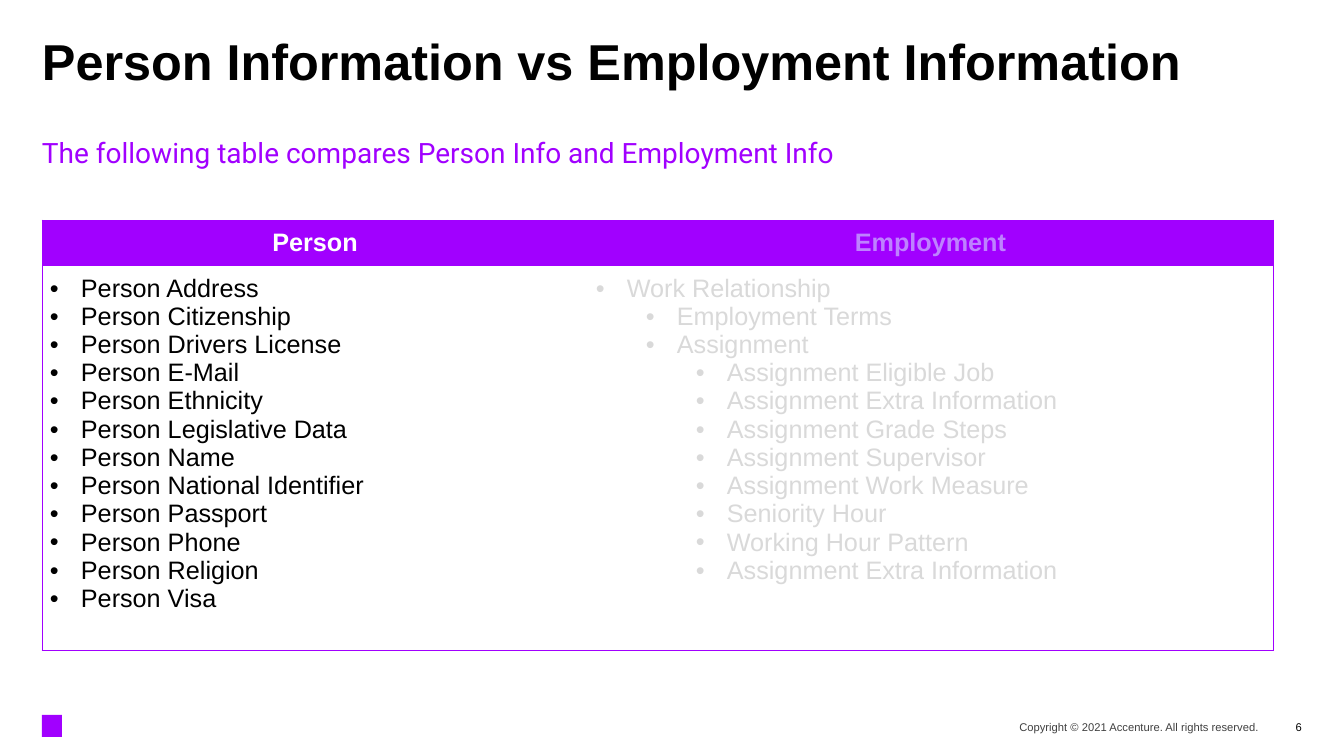
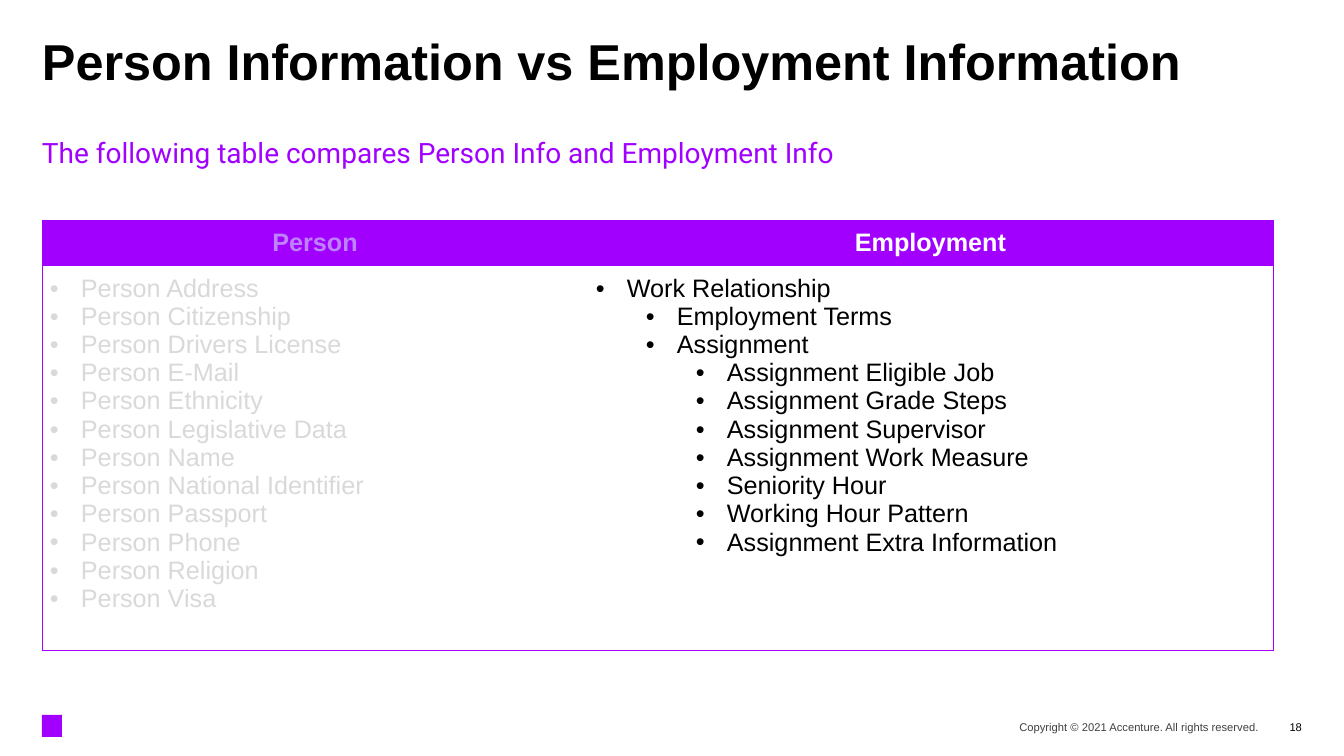
from lxml import etree
from pptx import Presentation, util as u
from pptx.dml.color import RGBColor
from pptx.enum import shapes, text
from pptx.oxml.ns import qn

SCALE = 914400 / 100.8
PURPLE, LILAC, WHITE = "A100FF", "BE82FF", "FFFFFF"
BLACK, CHARCOAL, PALE = "000000", "404040", "D9D9D9"
LEFT, CONTENT_WIDTH = 42, 1260
FOOTER_TOP, FOOTER_HEIGHT = 716, 22
CELL_INSET, BULLET_INDENT, LEVEL_STEP = 8, 31, 50
COLUMN_WIDTHS, ROW_HEIGHTS = (546, 685), (44, 384)

PERSON = [(0, f"Person {item}") for item in (
    "Address", "Citizenship", "Drivers License", "E-Mail", "Ethnicity",
    "Legislative Data", "Name", "National Identifier", "Passport", "Phone",
    "Religion", "Visa")]
EXTRA = (2, "Assignment Extra Information")
EMPLOYMENT = [
    (0, "Work Relationship"),
    (1, "Employment Terms"),
    (1, "Assignment"),
    (2, "Assignment Eligible Job"),
    (2, "Assignment Grade Steps"),
    (2, "Assignment Supervisor"),
    (2, "Assignment Work Measure"),
    (2, "Seniority Hour"),
    (2, "Working Hour Pattern"),
    EXTRA,
]
EMPLOYMENT_WITH_EXTRA = EMPLOYMENT[:4] + [EXTRA] + EMPLOYMENT[4:]


def px(length):
    return u.Emu(round(length * SCALE))


def rgb(value):
    return RGBColor.from_string(value)


class Deck:
    """Holds the shared style and the slide being built."""

    def __init__(self):
        self.prs = Presentation()
        self.prs.slide_width, self.prs.slide_height = px(1344), px(756)
        self.slide = None

    def add_slide(self, number):
        self.slide = self.prs.slides.add_slide(self.prs.slide_layouts[6])
        self.marker()
        self.footer("Copyright © 2021 Accenture. All rights reserved.", 806, 453, CHARCOAL)
        self.footer(str(number), 1266, 36, BLACK)

    def style(self, paragraph, size, color, bold=False, face="Arial"):
        font = paragraph.font
        font.size, font.bold, font.name = u.Pt(size), bold, face
        font.color.rgb = rgb(color)

    def label(self, words, left, top, width, height, size, color, **font):
        frame = self.slide.shapes.add_textbox(px(left), px(top), px(width), px(height)).text_frame
        frame.word_wrap = True
        frame.margin_left = frame.margin_right = frame.margin_top = frame.margin_bottom = 0
        paragraph = frame.paragraphs[0]
        paragraph.text = words
        self.style(paragraph, size, color, **font)
        return frame

    def marker(self):
        mark = self.slide.shapes.add_shape(
            shapes.MSO_SHAPE.RECTANGLE, px(LEFT), px(715), px(20), px(22))
        mark.shadow.inherit = False
        mark.fill.solid()
        mark.fill.fore_color.rgb = rgb(PURPLE)
        mark.line.fill.background()

    def footer(self, words, left, width, color):
        frame = self.label(words, left, FOOTER_TOP, width, FOOTER_HEIGHT, 8, color)
        frame.vertical_anchor = text.MSO_ANCHOR.MIDDLE
        frame.paragraphs[0].alignment = text.PP_ALIGN.RIGHT

    def title(self, words):
        frame = self.label(words, LEFT, 42, CONTENT_WIDTH, 88, 36, BLACK, bold=True)
        frame.paragraphs[0].line_spacing = 0.8

    def subtitle(self, words):
        self.label(words, LEFT, 136, CONTENT_WIDTH, 42, 20, PURPLE, face="Roboto")

    def borders(self, cell, outer_sides):
        properties = cell._tc.get_or_add_tcPr()
        for position, side in enumerate("LRTB"):
            line = etree.Element(qn(f"a:ln{side}"), w=str(u.Pt(0.5)))
            if side in outer_sides:
                fill = etree.SubElement(line, qn("a:solidFill"))
                etree.SubElement(fill, qn("a:srgbClr"), val=PURPLE)
            else:
                etree.SubElement(line, qn("a:noFill"))
            properties.insert(position, line)

    def bullet(self, paragraph, level, color):
        paragraph.level = level
        properties = paragraph._p.get_or_add_pPr()
        properties.set("marL", str(px(BULLET_INDENT + level * LEVEL_STEP)))
        properties.set("indent", str(px(-BULLET_INDENT)))
        tint = etree.SubElement(properties, qn("a:buClr"))
        etree.SubElement(tint, qn("a:srgbClr"), val=color)
        etree.SubElement(properties, qn("a:buFont"), typeface="Arial")
        etree.SubElement(properties, qn("a:buChar"), char="•")

    def cell(self, cell, fill, outer_sides):
        cell.margin_left = cell.margin_right = px(CELL_INSET)
        cell.margin_top = cell.margin_bottom = px(CELL_INSET)
        cell.fill.solid()
        cell.fill.fore_color.rgb = rgb(fill)
        self.borders(cell, outer_sides)

    def heading_cell(self, cell, words, color, side):
        self.cell(cell, PURPLE, side + "T")
        cell.vertical_anchor = text.MSO_ANCHOR.MIDDLE
        paragraph = cell.text_frame.paragraphs[0]
        paragraph.text = words
        paragraph.alignment = text.PP_ALIGN.CENTER
        self.style(paragraph, 18, color, bold=True)

    def list_cell(self, cell, entries, color, side):
        self.cell(cell, WHITE, side + "B")
        cell.text_frame.text = "\n".join(words for _, words in entries)
        for paragraph, (level, _) in zip(cell.text_frame.paragraphs, entries):
            self.bullet(paragraph, level, color)
            self.style(paragraph, 18, color)

    def comparison(self, columns, active):
        table = self.slide.shapes.add_table(
            2, 2, px(LEFT), px(220), px(sum(COLUMN_WIDTHS)), px(sum(ROW_HEIGHTS))).table
        table.horz_banding = False
        for row, height in zip(table.rows, ROW_HEIGHTS):
            row.height = px(height)
        for index, (heading, entries) in enumerate(columns):
            table.columns[index].width = px(COLUMN_WIDTHS[index])
            side = "LR"[index]
            heading_color, list_color = (WHITE, BLACK) if heading == active else (LILAC, PALE)
            self.heading_cell(table.cell(0, index), heading, heading_color, side)
            self.list_cell(table.cell(1, index), entries, list_color, side)


def main():
    deck = Deck()
    for number, active, employment in (
            (6, "Person", EMPLOYMENT_WITH_EXTRA), (18, "Employment", EMPLOYMENT)):
        deck.add_slide(number)
        deck.title("Person Information vs Employment Information")
        deck.comparison((("Person", PERSON), ("Employment", employment)), active)
        deck.subtitle("The following table compares Person Info and Employment Info")
    deck.prs.save("out.pptx")


if __name__ == "__main__":
    main()
